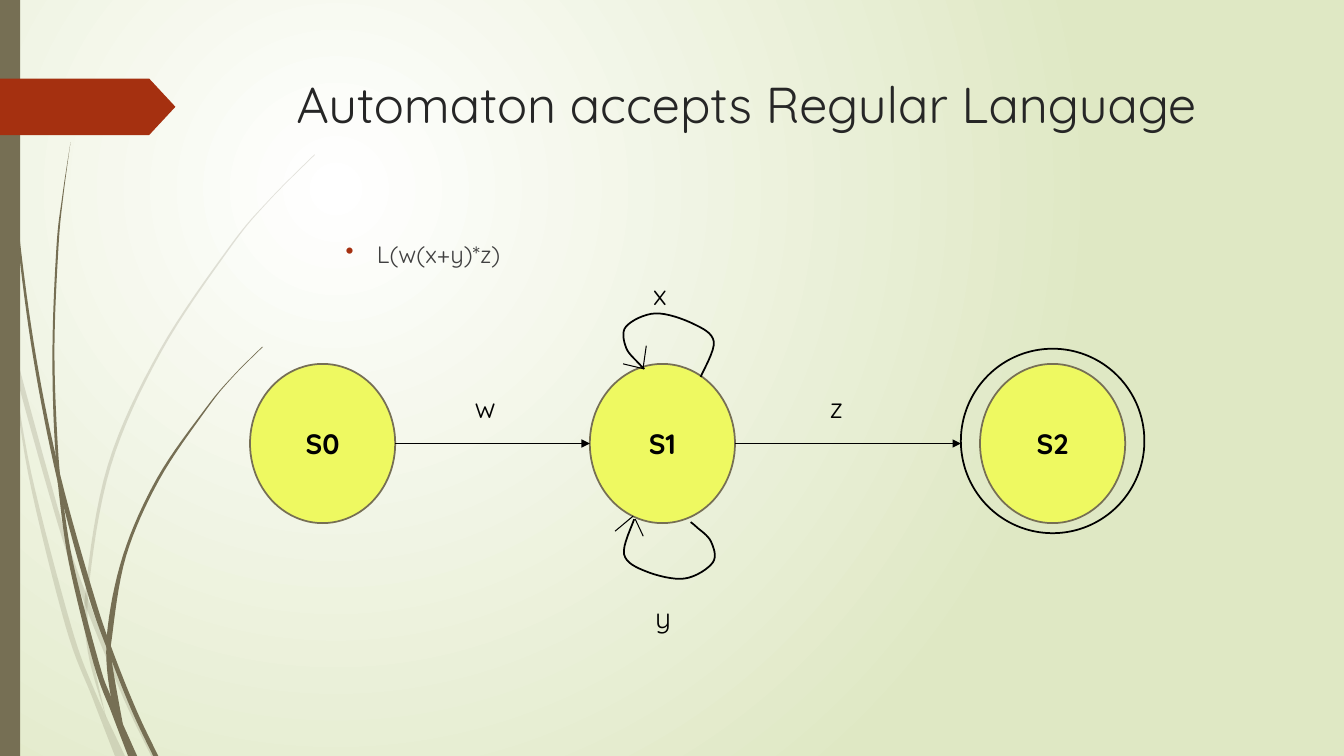
import dataclasses

import pptx
import pptx.dml.color
import pptx.enum.shapes
import pptx.enum.text
import pptx.oxml.ns
import pptx.oxml.xmlchemy
import pptx.util

ALIGN = pptx.enum.text.PP_ALIGN
ANCHOR = pptx.enum.text.MSO_ANCHOR
SHAPE = pptx.enum.shapes.MSO_SHAPE


@dataclasses.dataclass(frozen=True)
class Theme:
    font: str = "Quicksand"
    title_size: int = 36
    body_size: int = 17
    label_size: int = 20
    black: str = "000000"
    title: str = "262626"
    body: str = "404040"
    olive: str = "766F54"
    rust: str = "A53010"
    state: str = "EEF961"
    glow: str = "FFFFFF"
    backdrop: str = "DFE8C4"
    outline: float = 1.25
    arrow: float = 0.75


THEME = Theme()

# Each blade: its left edge and its right edge, from tip to foot, in inches
PALE_BLADES = [
    ([(0, 2.99), (0.17, 3.76), (0.58, 5.22), (0.84, 5.99), (1.23, 6.94), (1.5, 7.5)],
     [(0, 2.82), (0.14, 3.45), (0.62, 5.2), (0.88, 5.96), (1.27, 6.92), (1.55, 7.5)]),
    ([(0.11, 3.5), (0.28, 4.7), (0.65, 6.21), (0.92, 6.93), (1.14, 7.5)],
     [(0.11, 3.5), (0.31, 4.69), (0.7, 6.19), (0.93, 6.83), (1.24, 7.5)]),
    ([(3.12, 1.53), (2.68, 1.97), (2.28, 2.44), (1.58, 3.48), (1.07, 4.61),
      (0.85, 5.84), (0.87, 6.46), (1.05, 7.11)],
     [(3.12, 1.54), (2.68, 1.98), (2.29, 2.45), (1.6, 3.49), (1.1, 4.62),
      (0.88, 5.84), (0.91, 6.46), (1.05, 7.11)]),
]
DARK_BLADES = [
    ([(0.03, 0), (0.07, 1.1), (0.17, 2.33), (0.33, 3.55), (0.57, 4.77),
      (0.88, 5.92), (1.11, 6.56), (1.32, 7.08), (1.52, 7.5)],
     [(0.04, 0), (0.08, 1.09), (0.19, 2.32), (0.36, 3.55), (0.6, 4.72),
      (0.93, 5.9), (1.13, 6.49), (1.36, 7.06), (1.57, 7.5)]),
    ([(0.57, 4.77), (0.68, 5.57), (0.93, 6.59), (1.11, 7.08), (1.27, 7.5)],
     [(0.6, 4.77), (0.72, 5.56), (0.98, 6.57), (1.1, 6.91), (1.36, 7.5)]),
    ([(0.7, 1.41), (0.62, 1.93), (0.56, 2.45), (0.52, 3.49), (0.55, 4.49), (0.64, 5.05)],
     [(0.7, 1.41), (0.63, 1.93), (0.58, 2.45), (0.54, 3.49), (0.58, 4.53), (0.64, 5.05)]),
    ([(2.6, 3.44), (2.31, 3.73), (2.04, 4.05), (1.56, 4.74), (1.22, 5.51),
      (1.06, 6.31), (1.1, 6.91), (1.22, 7.19)],
     [(2.61, 3.44), (2.31, 3.74), (2.05, 4.06), (1.58, 4.76), (1.25, 5.52),
      (1.11, 6.33), (1.11, 6.56), (1.22, 7.19)]),
]
BANNER = [(0, 0.78), (1.48, 0.78), (1.74, 1.06), (1.48, 1.34), (0, 1.34)]
LOOP_X = [(6.95, 3.74), (7.08, 3.39), (6.87, 3.21), (6.5, 3.11), (6.21, 3.24),
          (6.21, 3.45), (6.34, 3.61), (6.39, 3.66)]
LOOP_Y = [(6.29, 5.15), (6.19, 5.5), (6.41, 5.67), (6.79, 5.74), (7.07, 5.58),
          (7.05, 5.37), (6.91, 5.23), (6.85, 5.18)]
LOOP_TIPS = [((6.18, 3.61), (6.39, 3.66)), ((6.41, 3.43), (6.38, 3.64)),
             ((6.3, 5.15), (6.38, 5.32)), ((6.1, 5.27), (6.28, 5.12))]


def lengths(*inches):
    return [pptx.util.Cm(value * 2.54) for value in inches]


def rgb(code):
    return pptx.dml.color.RGBColor.from_string(code)


def apply_format(target, values):
    for name, value in values.items():
        setattr(target, name, value)


def add_element(parent, tag, **attributes):
    element = pptx.oxml.xmlchemy.OxmlElement(tag)
    for name, value in attributes.items():
        element.set(name, str(value))
    parent.append(element)
    return element


def smooth(points, steps=8):
    """Sample a rounded curve that passes through all the points."""
    padded = [points[0], *points, points[-1]]
    curve = [points[0]]
    for before, start, end, after in zip(padded, padded[1:], padded[2:], padded[3:]):
        for step in range(1, steps + 1):
            t = step / steps
            curve.append(tuple(
                (2 * b + (c - a) * t + (2 * a - 5 * b + 4 * c - d) * t ** 2
                 + (3 * b - a - 3 * c + d) * t ** 3) / 2
                for a, b, c, d in zip(before, start, end, after)))
    return curve


def paint(shape, fill=None, line=None, opacity=100):
    shape.shadow.inherit = False
    if fill:
        shape.fill.solid()
        shape.fill.fore_color.rgb = rgb(fill)
        if opacity < 100:
            color = shape._element.spPr.find(".//" + pptx.oxml.ns.qn("a:srgbClr"))
            add_element(color, "a:alpha", val=opacity * 1000)
    else:
        shape.fill.background()
    if line:
        shape.line.color.rgb = rgb(line)
        shape.line.width = pptx.util.Pt(THEME.outline)
    else:
        shape.line.fill.background()


def add_outline(slide, points, closed=True, **colors):
    corners = [lengths(*point) for point in points]
    builder = slide.shapes.build_freeform(*corners[0], scale=1.0)
    builder.add_line_segments(corners[1:], close=closed)
    paint(builder.convert_to_shape(), **colors)


def add_preset(slide, kind, box, **colors):
    shape = slide.shapes.add_shape(kind, *lengths(*box))
    paint(shape, **colors)
    return shape


def write(shape, text, size, color, bold=False, align=ALIGN.LEFT, anchor=ANCHOR.TOP):
    apply_format(shape.text_frame, {"word_wrap": True, "vertical_anchor": anchor})
    paragraph = shape.text_frame.paragraphs[0]
    paragraph.alignment = align
    run = paragraph.add_run()
    run.text = text
    apply_format(run.font, {"name": THEME.font, "size": pptx.util.Pt(size), "bold": bold})
    run.font.color.rgb = rgb(color)
    return paragraph


def add_text(slide, box, text, size, color):
    return write(slide.shapes.add_textbox(*lengths(*box)), text, size, color)


def add_bullet(paragraph):
    paragraph.space_before = pptx.util.Pt(10)
    properties = paragraph._p.get_or_add_pPr()
    for name, value in zip(("marL", "indent"), lengths(0.81, -0.31)):
        properties.set(name, str(int(value)))
    add_element(add_element(properties, "a:buClr"), "a:srgbClr", val=THEME.rust)
    add_element(properties, "a:buChar", char="•")


def add_line(slide, start, end, arrowhead=False):
    connector = slide.shapes.add_connector(
        pptx.enum.shapes.MSO_CONNECTOR.STRAIGHT, *lengths(*start, *end))
    connector.line.color.rgb = rgb(THEME.black)
    connector.line.width = pptx.util.Pt(THEME.arrow)
    if arrowhead:
        add_element(connector.line._get_or_add_ln(), "a:tailEnd", type="triangle")
    add_element(connector._element.spPr, "a:effectLst")


def set_background(slide):
    fill = slide.background.fill
    fill.gradient()
    for stop, color in zip(fill.gradient_stops, (THEME.glow, THEME.backdrop)):
        stop.color.rgb = rgb(color)
    linear = slide._element.find(".//" + pptx.oxml.ns.qn("a:lin"))
    gradient = linear.getparent()
    gradient.remove(linear)
    circle = add_element(gradient, "a:path", path="circle")
    add_element(circle, "a:fillToRect", l=50000, t=50000, r=100000, b=100000)


def main():
    presentation = pptx.Presentation()
    presentation.slide_width, presentation.slide_height = lengths(13.33, 7.5)
    slide = presentation.slides.add_slide(presentation.slide_layouts[6])

    # Backdrop with grass blades, side bar and banner
    set_background(slide)
    for blades, opacity in ((PALE_BLADES, 20), (DARK_BLADES, 100)):
        for left, right in blades:
            add_outline(slide, smooth(left) + smooth(right)[::-1],
                        fill=THEME.olive, opacity=opacity)
    add_preset(slide, SHAPE.RECTANGLE, (0, 0, 0.2, 7.5), fill=THEME.olive)
    add_outline(slide, BANNER, fill=THEME.rust)

    # Title and language
    add_text(slide, (2.84, 0.68, 9.88, 1.4), "Automaton accepts Regular Language",
             THEME.title_size, THEME.title)
    add_bullet(add_text(slide, (2.83, 2.33, 9.75, 4.13), "L(w(x+y)*z)",
                        THEME.body_size, THEME.body))

    # States, with a ring round the accepting one
    for name, left in (("S0", 2.48), ("S1", 5.85), ("S2", 9.72)):
        state = add_preset(slide, SHAPE.OVAL, (left, 3.61, 1.44, 1.58),
                           fill=THEME.state, line=THEME.olive)
        write(state, name, THEME.label_size, THEME.black, bold=True,
              align=ALIGN.CENTER, anchor=ANCHOR.MIDDLE)
    add_preset(slide, SHAPE.OVAL, (9.53, 3.46, 1.82, 1.83), line=THEME.black)

    # Transitions
    for start, end in ((3.92, 5.85), (7.29, 9.53)):
        add_line(slide, (start, 4.4), (end, 4.4), arrowhead=True)
    for loop in (LOOP_X, LOOP_Y):
        add_outline(slide, smooth(loop), closed=False, line=THEME.black)
    for start, end in LOOP_TIPS:
        add_line(slide, start, end)
    for symbol, left, top, width in (("w", 4.61, 3.82, 0.41), ("z", 8.13, 3.82, 0.41),
                                     ("x", 6.38, 2.7, 0.34), ("y", 6.4, 5.91, 0.35)):
        add_text(slide, (left, top, width, 0.44), symbol, THEME.label_size, THEME.black)

    presentation.save("out.pptx")


if __name__ == "__main__":
    main()
